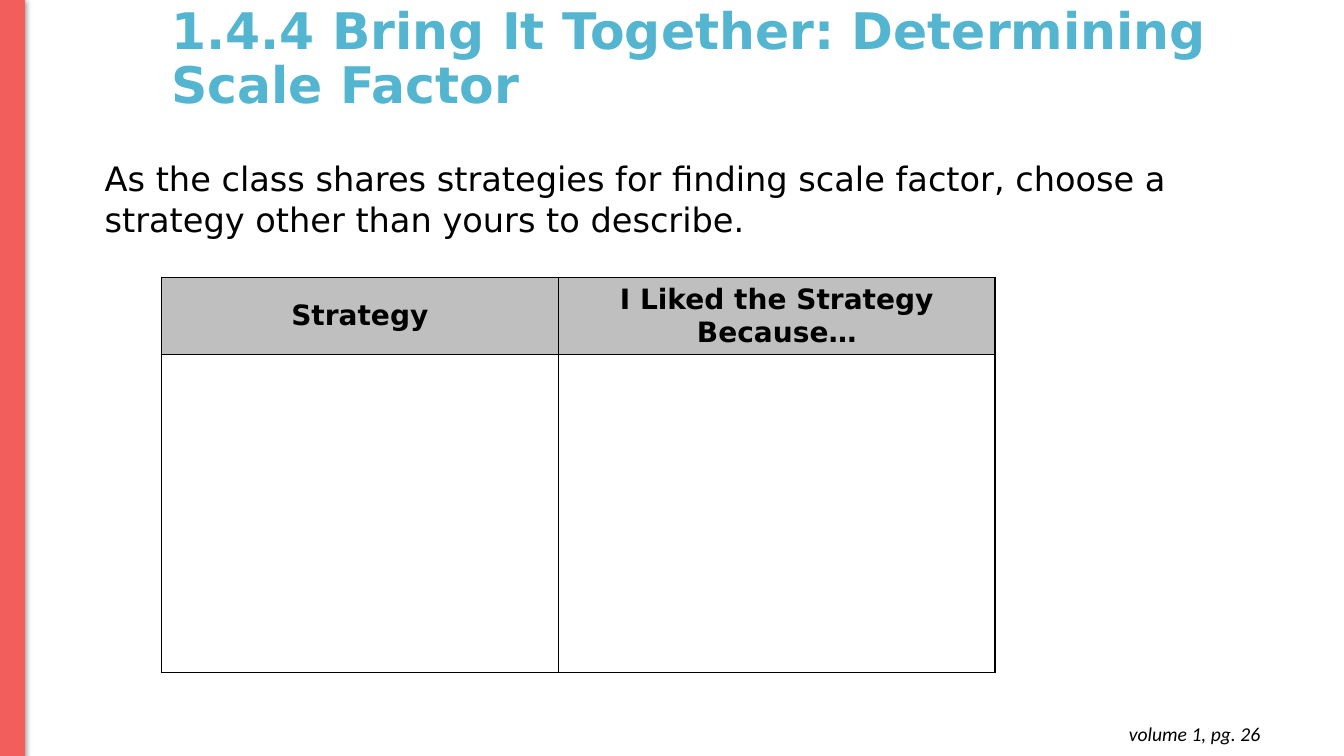
from lxml import etree
from pptx import Presentation
from pptx import util as u
from pptx.dml.color import RGBColor
from pptx.enum import shapes, text
from pptx.oxml import ns

WIDTH, HEIGHT = 13.33, 7.5
BLUE = RGBColor(0x54, 0xB5, 0xD1)
CORAL = RGBColor(0xF2, 0x5E, 0x5B)
GREY = RGBColor(0xBF, 0xBF, 0xBF)
BLACK = RGBColor(0, 0, 0)
SANS = "DejaVu Sans"
MARGIN = 0.12 * WIDTH
COLUMNS = (3.94, 4.33)
ROWS = (0.77, 3.15)
HEADINGS = ("Strategy", "I Liked the Strategy Because…")


def inches(*lengths):
    return [u.Inches(length) for length in lengths]


def write(frame, words, size, color=BLACK, name=SANS, bold=False,
          italic=False, align=text.PP_ALIGN.LEFT):
    frame.word_wrap = True
    para = frame.paragraphs[0]
    para.text = words
    para.alignment = align
    font = para.font
    font.size, font.name = u.Pt(size), name
    font.bold, font.italic = bold, italic
    font.color.rgb = color
    return para


def add_title(page, words):
    title = page.shapes.title
    title.left, title.top, title.width, title.height = inches(
        MARGIN, 0, 10.79, 1.19)
    frame = title.text_frame
    frame.auto_size = text.MSO_AUTO_SIZE.NONE
    frame.vertical_anchor = text.MSO_ANCHOR.MIDDLE
    write(frame, words, 36, BLUE, bold=True).line_spacing = 0.9


def add_text(page, area, words, size, inset=0.05, **style):
    frame = page.shapes.add_textbox(*inches(*area)).text_frame
    frame.margin_top = frame.margin_bottom = u.Inches(inset)
    write(frame, words, size, **style)


def add_side_bar(page):
    bar = page.shapes.add_shape(shapes.MSO_SHAPE.RECTANGLE,
                                *inches(0, -0.01, 0.24, HEIGHT + 0.01))
    bar.fill.solid()
    bar.fill.fore_color.rgb = CORAL
    bar.line.color.rgb = CORAL
    bar.line.width = u.Pt(0.75)
    bar.shadow.inherit = False
    effects = bar.element.spPr.find(ns.qn("a:effectLst"))
    shadow = etree.SubElement(
        effects, ns.qn("a:outerShdw"), blurRad=str(u.Pt(4.5)),
        dist=str(u.Pt(1.5)), dir="5400000", algn="ctr", rotWithShape="0")
    color = etree.SubElement(shadow, ns.qn("a:srgbClr"), val=str(BLACK))
    etree.SubElement(color, ns.qn("a:alpha"), val="50000")


def add_borders(cell):
    properties = cell._tc.get_or_add_tcPr()
    for index, side in enumerate(("lnL", "lnR", "lnT", "lnB")):
        line = etree.Element(ns.qn(f"a:{side}"), w=str(u.Pt(1)))
        fill = etree.SubElement(line, ns.qn("a:solidFill"))
        etree.SubElement(fill, ns.qn("a:srgbClr"), val=str(BLACK))
        properties.insert(index, line)


def add_strategy_table(page):
    table = page.shapes.add_table(
        len(ROWS), len(COLUMNS),
        *inches(MARGIN, 2.75, sum(COLUMNS), sum(ROWS))).table
    for column, width in zip(table.columns, COLUMNS):
        column.width = u.Inches(width)
    for row, height in zip(table.rows, ROWS):
        row.height = u.Inches(height)
    for cell in table.iter_cells():
        cell.fill.background()
        add_borders(cell)
    for cell, heading in zip(table.rows[0].cells, HEADINGS):
        cell.fill.solid()
        cell.fill.fore_color.rgb = GREY
        cell.vertical_anchor = text.MSO_ANCHOR.MIDDLE
        write(cell.text_frame, heading, 20, bold=True,
              align=text.PP_ALIGN.CENTER)


def main():
    deck = Presentation()
    deck.slide_width, deck.slide_height = inches(WIDTH, HEIGHT)
    page = deck.slides.add_slide(deck.slide_layouts[5])
    add_title(page, "1.4.4 Bring It Together: Determining Scale Factor")
    add_text(page, (0.94, 1.52, 11.24, 0.91),
             "As the class shares strategies for finding scale factor, "
             "choose a strategy other than yours to describe.", 24)
    add_side_bar(page)
    add_strategy_table(page)
    add_text(page, (9.72, 7.06, 2.88, 0.44), "volume 1, pg. 26", 14,
             inset=0.1, name="Calibri", italic=True,
             align=text.PP_ALIGN.RIGHT)
    deck.save("out.pptx")


if __name__ == "__main__":
    main()
